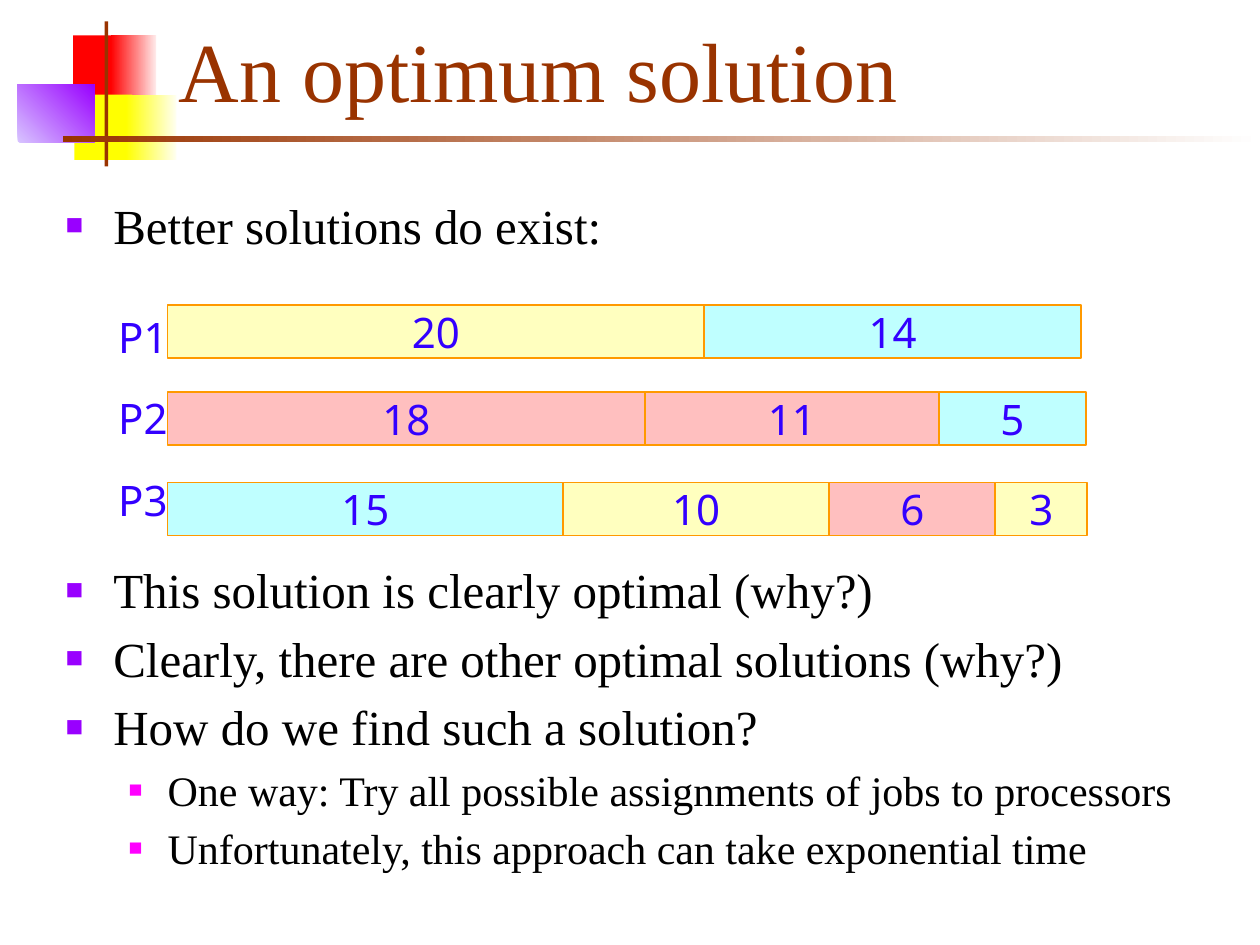
from dataclasses import dataclass
from lxml.etree import SubElement
from pptx import Presentation
from pptx.dml.color import RGBColor as Rgb
from pptx.enum.shapes import MSO_SHAPE as Shape
from pptx.enum.text import MSO_ANCHOR as Anchor, MSO_AUTO_SIZE as Fit, PP_ALIGN as Align
from pptx.oxml.ns import qn
from pptx.util import Inches, Pt


@dataclass(frozen=True)
class Theme:
    serif: str = "Times New Roman"
    sans: str = "Noto Sans"
    brown: str = "993300"
    black: str = "000000"
    purple: str = "9900FF"
    pink: str = "FF00FF"
    blue: str = "3300FF"
    orange: str = "FF9900"
    cream: str = "FFFFBF"
    rose: str = "FFBFBF"
    aqua: str = "BFFFFF"
    head: int = 48
    main: int = 28
    small: int = 24


theme = Theme()


def style(para, face, size, color):
    para.font.name = face
    para.font.size = Pt(size)
    para.font.color.rgb = Rgb.from_string(color)


def block(box, colors, angle=0):
    shape = slide.shapes.add_shape(Shape.RECTANGLE, *map(Inches, box))
    shape.shadow.inherit = False
    shape.line.fill.background()
    if len(colors) == 1:
        shape.fill.solid()
        shape.fill.fore_color.rgb = Rgb.from_string(colors[0])
    else:
        shape.fill.gradient()
        shape.fill.gradient_angle = angle
        for stop, color in zip(shape.fill.gradient_stops, colors):
            stop.color.rgb = Rgb.from_string(color)
    return shape


deck = Presentation()
deck.slide_width, deck.slide_height = Inches(10), Inches(7.5)
slide = deck.slides.add_slide(deck.slide_layouts[3])
title, upper, lower = list(slide.placeholders)[:3]
for spare in list(slide.placeholders)[3:]:
    spare.element.getparent().remove(spare.element)

decor = [
    ((0.58, 0.28, 0.35, 0.52), ["FF0000"], 0),
    ((0.88, 0.28, 0.36, 0.52), ["FF0000", "FFEAEA"], 0),
    ((0.59, 0.75, 0.46, 0.52), ["FFFF00"], 0),
    ((1, 0.75, 0.4, 0.52), ["FFFF00", "FFFFF0"], 0),
    ((0.14, 0.67, 0.61, 0.46), ["D8C4FF", theme.purple], 45),
    ((0.83, 0.17, 0.03, 1.15), [theme.brown], 0),
    ((0.5, 1.08, 9.5, 0.05), [theme.brown, "FFFFFF"], 0),
]
for box, colors, angle in decor:
    block(box, colors, angle)

places = [
    (title, (1.32, 0.13, 8.52, 0.83)),
    (upper, (0.42, 1.5, 9.38, 0.58)),
    (lower, (0.42, 4.39, 9.38, 2.31)),
]
for holder, box in places:
    holder.left, holder.top, holder.width, holder.height = map(Inches, box)
    holder.text_frame.auto_size = Fit.NONE

title.text_frame.text = "An optimum solution"
title.text_frame.vertical_anchor = Anchor.MIDDLE
head = title.text_frame.paragraphs[0]
head.alignment = Align.LEFT
style(head, theme.serif, theme.head, theme.brown)

levels = [
    (0.38, 0.38, theme.purple, 60, theme.main),
    (0.81, 0.31, theme.pink, 55, theme.small),
]
lists = [
    (upper, [("Better solutions do exist:", 0)]),
    (lower, [
        ("This solution is clearly optimal (why?)", 0),
        ("Clearly, there are other optimal solutions (why?)", 0),
        ("How do we find such a solution?", 0),
        ("One way: Try all possible assignments of jobs to processors", 1),
        ("Unfortunately, this approach can take exponential time", 1),
    ]),
]
for holder, items in lists:
    frame = holder.text_frame
    frame.text = "\n".join(text for text, level in items)
    for para, (text, level) in zip(frame.paragraphs, items):
        left, hang, color, scale, size = levels[level]
        para.level = level
        props = para._p.get_or_add_pPr()
        props.set("marL", str(Inches(left)))
        props.set("indent", str(-Inches(hang)))
        tint = SubElement(props, qn("a:buClr"))
        SubElement(tint, qn("a:srgbClr"), val=color)
        SubElement(props, qn("a:buSzPct"), val=str(scale * 1000))
        SubElement(props, qn("a:buChar"), char="■")
        style(para, theme.serif, size, theme.black)

rows = [
    (2.42, [(20, 5.59, theme.cream), (14, 8.58, theme.aqua)]),
    (3.11, [(18, 5.12, theme.rose), (11, 7.45, theme.rose), (5, 8.62, theme.aqua)]),
    (3.83, [(15, 4.47, theme.aqua), (10, 6.58, theme.cream),
            (6, 7.9, theme.rose), (3, 8.63, theme.cream)]),
]
for top, jobs in rows:
    left = 1.33
    for time, right, color in jobs:
        bar = block((left, top, right - left, 0.42), [color])
        bar.line.color.rgb = Rgb.from_string(theme.orange)
        bar.line.width = Pt(1)
        frame = bar.text_frame
        frame.text = str(time)
        frame.word_wrap = False
        frame.vertical_anchor = Anchor.MIDDLE
        para = frame.paragraphs[0]
        para.alignment = Align.CENTER
        style(para, theme.sans, theme.small, theme.blue)
        left = right

names = slide.shapes.add_textbox(*map(Inches, (0.84, 2.34, 0.66, 1.93))).text_frame
names.word_wrap = True
names.text = "P1\nP2\nP3"
for para in names.paragraphs:
    para.line_spacing = 1.2
    gap = SubElement(para._p.get_or_add_pPr(), qn("a:spcBef"))
    SubElement(gap, qn("a:spcPct"), val="50000")
    style(para, theme.sans, theme.small, theme.blue)

deck.save("out.pptx")
